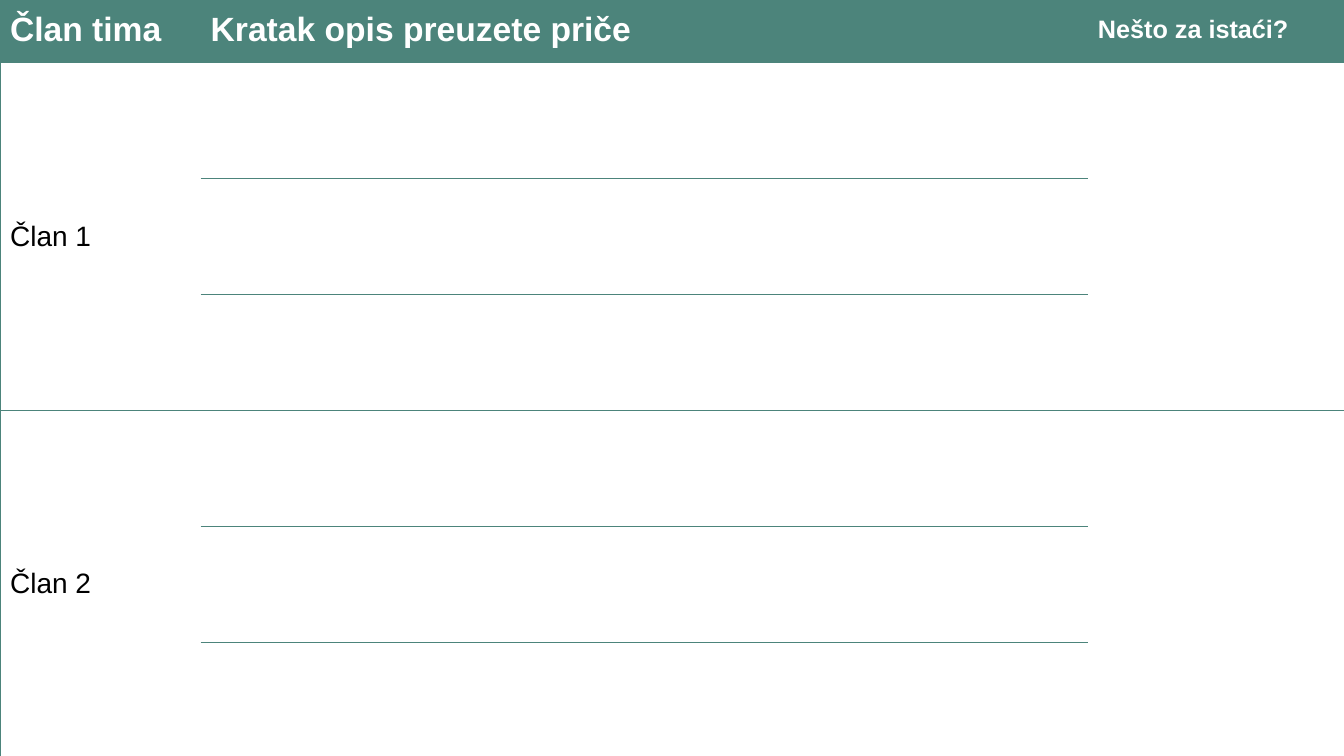
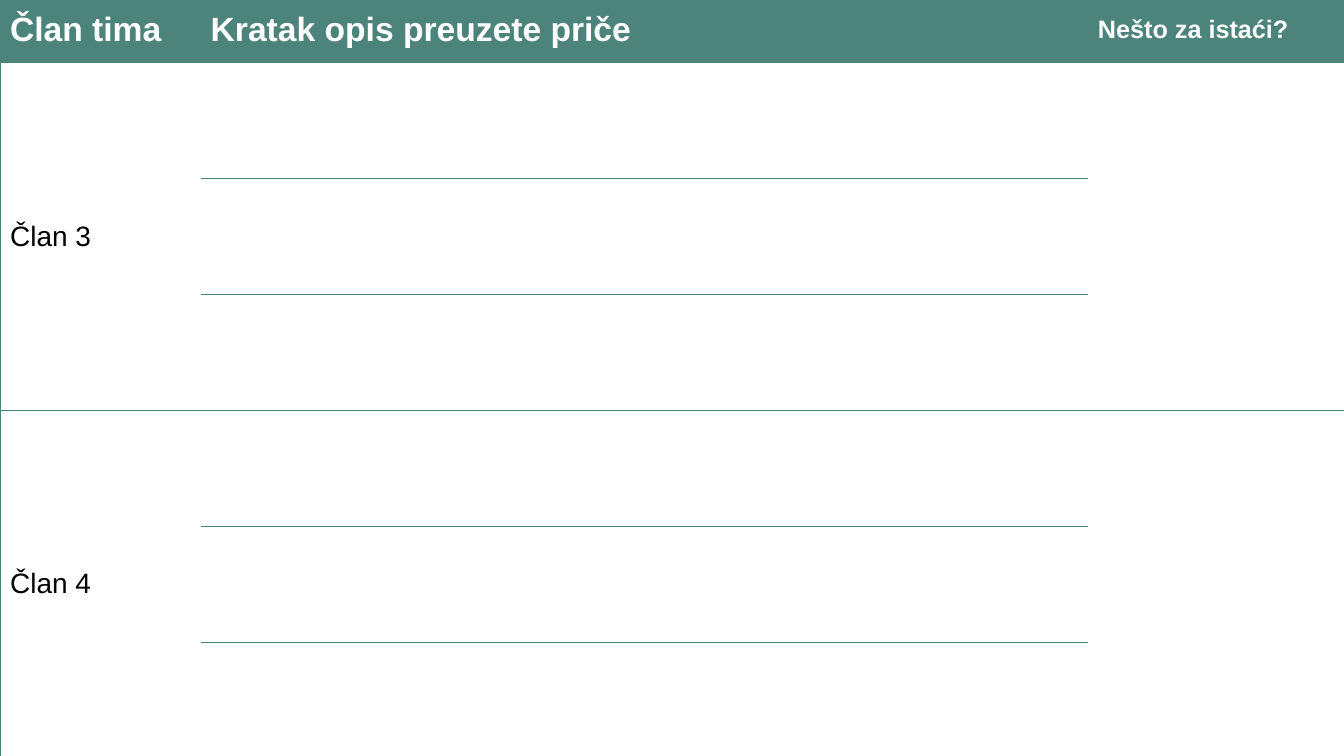
import pptx
import pptx.dml.color
import pptx.enum.text
import pptx.oxml
import pptx.oxml.ns
import pptx.util

GREEN = pptx.dml.color.RGBColor(0x4C, 0x84, 0x7B)
WHITE = pptx.dml.color.RGBColor(0xFF, 0xFF, 0xFF)
BLACK = pptx.dml.color.RGBColor(0x00, 0x00, 0x00)

# The slide is a fine grid of 1333 columns by 750 rows.
GRID_STEP = pptx.util.Inches(0.01)
SLIDE_COLUMNS, SLIDE_ROWS = 1333, 750
TABLE_TOP = -3
COLUMN_SPANS = (199, 880, 256)
HEADER_SPAN, STORY_SPAN = 65, 115
STORIES_PER_MEMBER = 3

HEADINGS = (("Član tima", 24), ("Kratak opis preuzete priče", 24), ("Nešto za istaći?", 18))
TEAM = (("Član 1", "Član 2"), ("Član 3", "Član 4"))


class TeamDeck:
    font = "Arial"
    body_size = 20
    rule_width = pptx.util.Pt(0.5)

    def __init__(self):
        self.presentation = pptx.Presentation()
        self.presentation.slide_width = SLIDE_COLUMNS * GRID_STEP
        self.presentation.slide_height = SLIDE_ROWS * GRID_STEP
        self.slide = None

    def new_slide(self):
        blank_layout = self.presentation.slide_layouts[6]
        self.slide = self.presentation.slides.add_slide(blank_layout)

    def cell_text(self, cell, text, size, color, bold=False):
        cell.vertical_anchor = pptx.enum.text.MSO_ANCHOR.MIDDLE
        run = cell.text_frame.paragraphs[0].add_run()
        run.text = text
        run.font.name = self.font
        run.font.size = pptx.util.Pt(size)
        run.font.bold = bold
        run.font.color.rgb = color

    def cell_rules(self, cell, sides):
        """Draw the given sides (of L, R, T, B) and clear the others."""
        properties = cell._tc.get_or_add_tcPr()
        namespace = pptx.oxml.ns.nsdecls("a")
        for side in "LRTB":
            paint = (f'<a:solidFill><a:srgbClr val="{GREEN}"/></a:solidFill>'
                     if side in sides else "<a:noFill/>")
            properties.append(pptx.oxml.parse_xml(
                f'<a:ln{side} {namespace} w="{self.rule_width}">{paint}</a:ln{side}>'))

    def story_table(self, members):
        spans = [HEADER_SPAN] + [STORY_SPAN] * (STORIES_PER_MEMBER * len(members))
        last_column = len(COLUMN_SPANS) - 1
        table = self.slide.shapes.add_table(
            len(spans), len(COLUMN_SPANS), 0, TABLE_TOP * GRID_STEP,
            sum(COLUMN_SPANS) * GRID_STEP, sum(spans) * GRID_STEP).table
        table.first_row = table.horz_banding = False
        for column, span in zip(table.columns, COLUMN_SPANS):
            column.width = span * GRID_STEP
        for row, span in zip(table.rows, spans):
            row.height = span * GRID_STEP

        for index, member in enumerate(members):
            first = 1 + index * STORIES_PER_MEMBER
            for column in (0, last_column):
                bottom = table.cell(first + STORIES_PER_MEMBER - 1, column)
                table.cell(first, column).merge(bottom)
            self.cell_text(table.cell(first, 0), member, self.body_size, BLACK)

        for row in range(len(spans)):
            for column in range(len(COLUMN_SPANS)):
                cell = table.cell(row, column)
                sides = "" if cell.is_spanned else "TB"
                if cell.is_spanned and row % STORIES_PER_MEMBER == 0:
                    sides = "B"
                sides += {0: "L", last_column: "R"}.get(column, "")
                self.cell_rules(cell, sides)
                if row == 0:
                    cell.fill.solid()
                    cell.fill.fore_color.rgb = GREEN
                else:
                    cell.fill.background()

        for column, (heading, size) in enumerate(HEADINGS):
            self.cell_text(table.cell(0, column), heading, size, WHITE, bold=True)


def main():
    deck = TeamDeck()
    for members in TEAM:
        deck.new_slide()
        deck.story_table(members)
    deck.presentation.save("out.pptx")


if __name__ == "__main__":
    main()
